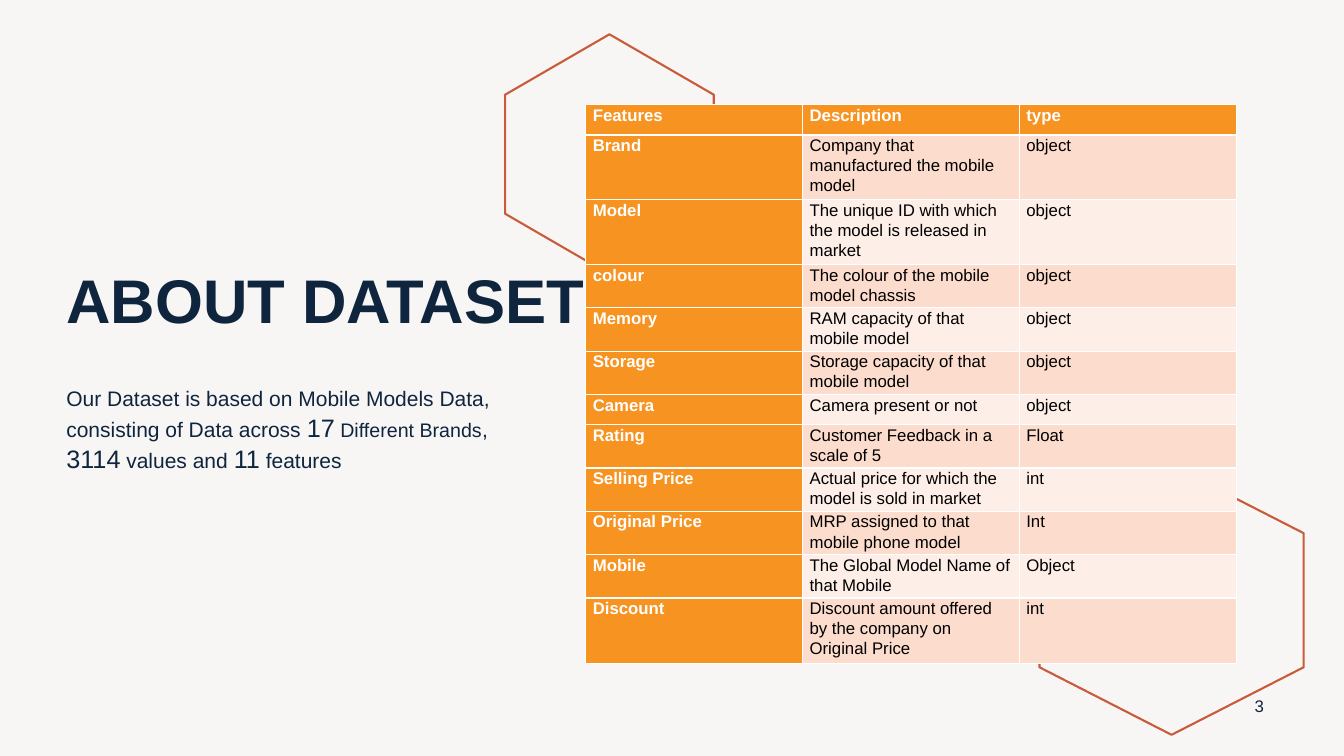
import pptx
import pptx.util
import pptx.dml.color
import pptx.enum.text

HUES = {"back": "F8F6F5", "navy": "0F253E", "rust": "C95B3A", "gold": "F79320",
        "white": "FFFFFF", "black": "000000", "peach": "FCDCCD", "cream": "FDEEE8"}
FONT = "Arial"
TITLE = "ABOUT DATASET"
INTRO = [("Our Dataset is based on Mobile Models Data, consisting of Data across ", 15),
         ("17", 18), (" Different Brands", 14), (", ", 15), ("3114", 18),
         (" values and ", 15), ("11", 18), (" features", 15)]
PAGE = "3"
# Feature, description, type, row height
ROWS = [
    ("Features", "Description", "type", 0.3),
    ("Brand", "Company that manufactured the mobile model", "object", 0.43),
    ("Model", "The unique ID with which the model is released in market", "object", 0.63),
    ("colour", "The colour of the mobile model chassis", "object", 0.43),
    ("Memory", "RAM capacity of that mobile model", "object", 0.43),
    ("Storage", "Storage capacity of that mobile model", "object", 0.43),
    ("Camera", "Camera present or not", "object", 0.3),
    ("Rating", "Customer Feedback in a scale of 5", "Float", 0.43),
    ("Selling Price", "Actual price for which the model is sold in market", "int", 0.43),
    ("Original Price", "MRP assigned to that mobile phone model", "Int", 0.43),
    ("Mobile", "The Global Model Name of that Mobile", "Object", 0.43),
    ("Discount", "Discount amount offered by the company on Original Price", "int", 0.65),
]
# Left, top, width, height, side inset from top and bottom
HEXES = {"low": (10.31, 4.62, 2.62, 2.67, 0.67),
         "high": (5.01, 0.34, 2.07, 2.38, 0.6)}

Inches = pptx.util.Inches
Pt = pptx.util.Pt
ALIGN = pptx.enum.text.PP_ALIGN
ANCHOR = pptx.enum.text.MSO_ANCHOR


def hue(name):
    return pptx.dml.color.RGBColor.from_string(HUES[name])


def write(frame, runs, color="navy", bold=False, align=ALIGN.LEFT, space=1.0, after=0):
    """Fill the first paragraph with (text, size) runs."""
    frame.word_wrap = True
    para = frame.paragraphs[0]
    para.alignment = align
    para.line_spacing = space
    para.space_after = Pt(after)
    for text, size in runs:
        run = para.add_run()
        run.text = text
        run.font.name = FONT
        run.font.size = Pt(size)
        run.font.bold = bold
        run.font.color.rgb = hue(color)


def add_text(slide, box, runs, anchor=ANCHOR.TOP, **style):
    frame = slide.shapes.add_textbox(*map(Inches, box)).text_frame
    frame.vertical_anchor = anchor
    write(frame, runs, **style)


def add_hex(slide, name):
    left, top, width, height, inset = HEXES[name]
    right, base, mid = left + width, top + height, left + width / 2
    upper, lower = top + inset, base - inset
    points = [(right, upper), (right, lower), (mid, base), (left, lower), (left, upper)]
    pen = slide.shapes.build_freeform(Inches(mid), Inches(top), 1.0)
    pen.add_line_segments([(Inches(x), Inches(y)) for x, y in points], close=True)
    shape = pen.convert_to_shape()
    shape.shadow.inherit = False
    shape.fill.background()
    shape.line.color.rgb = hue("rust")
    shape.line.width = Pt(1.5)


def add_grid(slide):
    heights = [row[-1] for row in ROWS]
    grid = slide.shapes.add_table(len(ROWS), 3, Inches(5.81), Inches(1.04),
                                  Inches(6.45), Inches(sum(heights))).table
    for col in grid.columns:
        col.width = Inches(2.15)
    for r, (*words, height) in enumerate(ROWS):
        grid.rows[r].height = Inches(height)
        for c, word in enumerate(words):
            cell = grid.cell(r, c)
            head = r == 0 or c == 0
            cell.margin_left = cell.margin_right = Inches(0.07)
            cell.margin_top = cell.margin_bottom = 0
            cell.fill.solid()
            cell.fill.fore_color.rgb = hue("gold" if head else "peach" if r % 2 else "cream")
            write(cell.text_frame, [(word, 12)], color="white" if head else "black",
                  bold=head, space=1.07, after=8)


def main():
    deck = pptx.Presentation()
    deck.slide_width, deck.slide_height = Inches(13.33), Inches(7.5)
    slide = deck.slides.add_slide(deck.slide_layouts[6])
    slide.background.fill.solid()
    slide.background.fill.fore_color.rgb = hue("back")

    add_hex(slide, "low")
    add_text(slide, (0.56, 2.29, 5.6, 1.45), [(TITLE, 44)], anchor=ANCHOR.MIDDLE,
             bold=True, space=0.9)
    add_text(slide, (0.56, 3.76, 4.66, 1.42), INTRO, space=1.05)
    add_hex(slide, "high")
    add_text(slide, (12.24, 6.8, 0.5, 0.4), [(PAGE, 12)], anchor=ANCHOR.MIDDLE,
             align=ALIGN.CENTER)
    add_grid(slide)
    deck.save("out.pptx")


if __name__ == "__main__":
    main()
